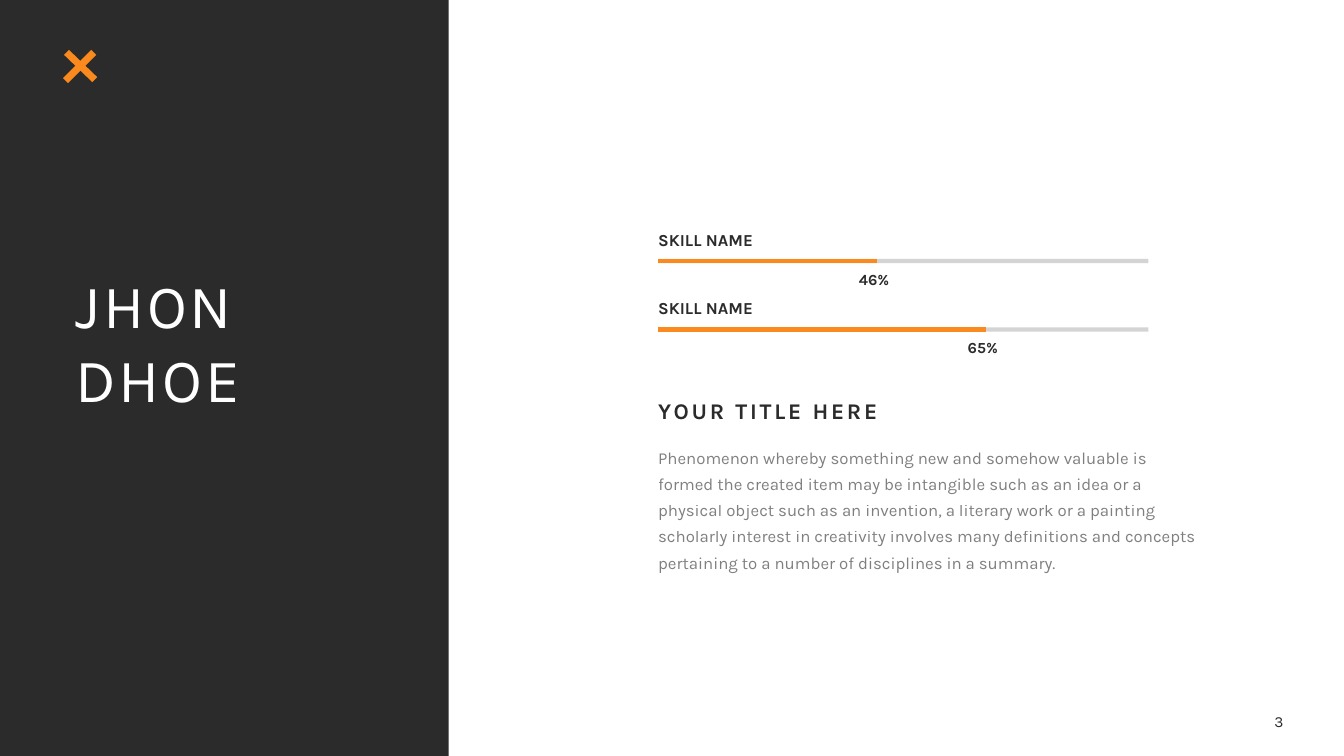
from dataclasses import dataclass

from lxml import etree
from pptx import Presentation
from pptx.dml.color import RGBColor
from pptx.enum.shapes import MSO_CONNECTOR, MSO_SHAPE
from pptx.enum.text import MSO_ANCHOR, MSO_AUTO_SIZE, PP_ALIGN
from pptx.oxml.ns import qn
from pptx.util import Pt

PX = 9144  # 100 px to the inch
FONT = "Karla"
DARK = RGBColor(0x2B, 0x2B, 0x2B)
ORANGE = RGBColor(0xFA, 0x89, 0x1E)
WHITE = RGBColor(0xFF, 0xFF, 0xFF)
RECTANGLE = MSO_SHAPE.RECTANGLE
STRAIGHT = MSO_CONNECTOR.STRAIGHT
LEFT, CENTER = PP_ALIGN.LEFT, PP_ALIGN.CENTER
TOP, MIDDLE = MSO_ANCHOR.TOP, MSO_ANCHOR.MIDDLE
GROW, FIXED = MSO_AUTO_SIZE.SHAPE_TO_FIT_TEXT, MSO_AUTO_SIZE.NONE

TEXT_LEFT, TEXT_WIDTH = 643, 557
BAR_LEFT, BAR_RIGHT = 653, 1139
FIRST_BAR_TOP, BAR_PITCH = 259, 68

BODY = (
    "Phenomenon whereby something new and somehow valuable is formed the created item "
    "may be intangible such as an idea or a physical object such as an invention, a "
    "literary work or a painting scholarly interest in creativity involves many "
    "definitions and concepts pertaining to a number of disciplines in a summary."
)


@dataclass(frozen=True)
class Skill:
    name: str
    value: str
    fill_right: int


SKILLS = [Skill("SKILL NAME", "46%", 870), Skill("SKILL NAME", "65%", 978)]


def set_opacity(element, percent: int) -> None:
    """Make every RGB colour inside the element partly transparent."""
    for color in element.iter(qn("a:srgbClr")):
        etree.SubElement(color, qn("a:alpha"), val=str(percent * 1000))


def add_text(page, text: str, left: int, top: int, width: int, height: int, *,
             size: int, color: RGBColor = DARK, bold: bool = False,
             spacing: int = 0, line_spacing: float = 1.0, opacity: int = 100,
             align=LEFT, anchor=TOP, auto_size=FIXED) -> None:
    box = page.shapes.add_textbox(left * PX, top * PX, width * PX, height * PX)
    frame = box.text_frame
    frame.word_wrap = True
    frame.auto_size = auto_size
    frame.vertical_anchor = anchor
    frame.text = text
    for para in frame.paragraphs:
        para.alignment = align
        para.line_spacing = line_spacing
        for span in para.runs:
            span.font.name = FONT
            span.font.size = Pt(size)
            span.font.bold = bold
            span.font.color.rgb = color
            if spacing:
                span._r.get_or_add_rPr().set("spc", str(spacing * 100))
            if opacity < 100:
                set_opacity(span._r, opacity)


def add_line(page, start: tuple[int, int], end: tuple[int, int], *,
             color: RGBColor, weight: int, opacity: int = 100) -> None:
    line = page.shapes.add_connector(
        STRAIGHT, *(value * PX for value in (*start, *end)))
    line.line.color.rgb = color
    line.line.width = Pt(weight)
    properties = line._element.spPr
    if opacity < 100:
        set_opacity(properties, opacity)
    etree.SubElement(properties, qn("a:effectLst"))


def add_side_panel(page) -> None:
    panel = page.shapes.add_shape(RECTANGLE, 0, 0, 445 * PX, 750 * PX)
    panel.shadow.inherit = False
    panel.fill.solid()
    panel.fill.fore_color.rgb = DARK
    panel.line.fill.background()
    add_text(page, "JHON\nDHOE", 65, 260, 200, 158, size=44, color=WHITE,
             spacing=2, auto_size=GROW)
    add_line(page, (93, 52), (65, 80), color=ORANGE, weight=5)
    add_line(page, (94, 79), (66, 52), color=ORANGE, weight=5)


def add_skill(page, skill: Skill, bar_top: int) -> None:
    start = (BAR_LEFT, bar_top)
    add_line(page, start, (BAR_RIGHT, bar_top), color=DARK, weight=3, opacity=20)
    add_line(page, start, (skill.fill_right, bar_top), color=ORANGE, weight=3)
    add_text(page, skill.name, TEXT_LEFT, bar_top - 34, 335, 30,
             size=12, bold=True, line_spacing=0.9)
    add_text(page, skill.value, skill.fill_right - 28, bar_top + 6, 63, 30,
             size=11, bold=True, line_spacing=0.9)


def main() -> None:
    deck = Presentation()
    deck.slide_width, deck.slide_height = 1333 * PX, 750 * PX
    page = deck.slides.add_slide(deck.slide_layouts[6])
    page.background.fill.solid()
    page.background.fill.fore_color.rgb = WHITE

    add_text(page, "3", 1245, 705, 47, 21, size=11, align=CENTER, anchor=MIDDLE)
    add_side_panel(page)
    add_text(page, BODY, TEXT_LEFT, 433, TEXT_WIDTH, 141, size=12,
             line_spacing=1.3, opacity=60, auto_size=GROW)
    add_text(page, "YOUR TITLE HERE", TEXT_LEFT, 392, TEXT_WIDTH, 41, size=16,
             bold=True, spacing=2, line_spacing=0.9)
    for row, skill in enumerate(SKILLS):
        add_skill(page, skill, FIRST_BAR_TOP + row * BAR_PITCH)

    deck.save("out.pptx")


if __name__ == "__main__":
    main()
